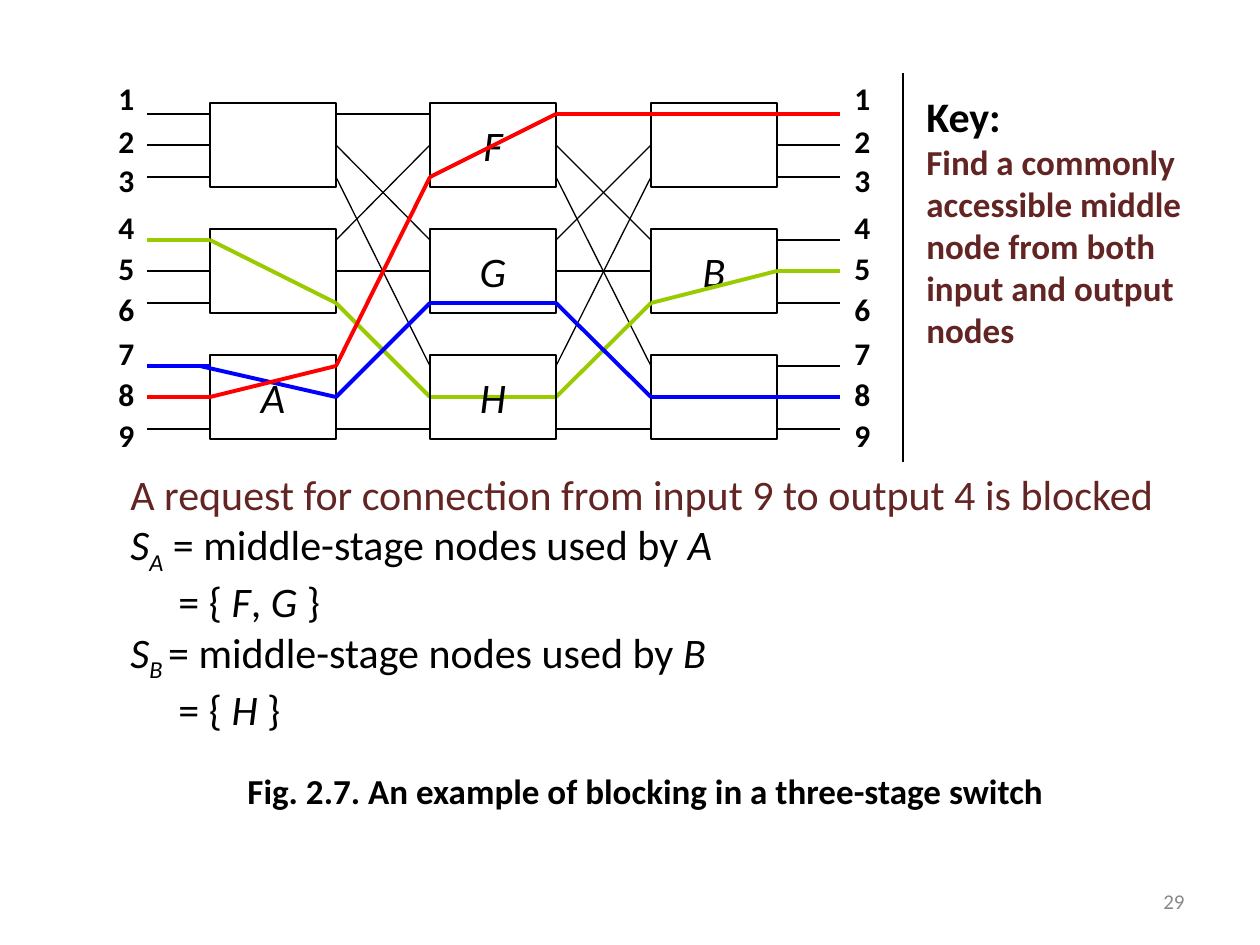
from dataclasses import dataclass

import pptx
import pptx.dml.color
import pptx.enum.shapes
import pptx.enum.text
import pptx.oxml.ns
import pptx.util
from lxml import etree

PX = 914400 / 126  # EMU in one px
FONT = "Calibri"
COLORS = {
    "black": "000000",
    "maroon": "632523",
    "gray": "898989",
    "green": "99CC00",
    "blue": "0000FF",
    "red": "FF0000",
}
ALIGN = pptx.enum.text.PP_ALIGN
ANCHOR = pptx.enum.text.MSO_ANCHOR

# Switch geometry: three stages of three nodes, nine ports on each side
STAGE_X = (210, 430, 651)
NODE_W, NODE_H = 126, 84
NODE_TOP, ROW_PITCH = 103, 126
PORT_DY = (11, 42, 74)
COLUMN_X = (147, *(x + dx for x in STAGE_X for dx in (0, NODE_W)), 840)
LABEL_TOPS = (73, 116, 155, 202, 243, 284, 328, 369, 410)
NODE_NAMES = {(0, 2): "A", (1, 0): "F", (1, 1): "G", (1, 2): "H", (2, 1): "B"}


@dataclass
class Run:
    text: str
    italic: bool = False
    sub: bool = False


@dataclass
class Para:
    runs: list[Run]
    size: int = 24
    color: str = "black"
    bold: bool = False
    indent: int = 0


@dataclass
class Route:
    color: str
    ports: tuple[int, ...]  # port passed at each column
    lead: int = 0  # px the first node segment starts early


ROUTES = [
    Route("green", (4, 4, 6, 8, 8, 6, 5, 5)),
    Route("blue", (7, 7, 8, 6, 6, 8, 8, 8), lead=10),
    Route("red", (8, 8, 7, 3, 1, 1, 1, 1)),
]


def px(n: float) -> int:
    return round(n * PX)


def rgb(name: str) -> pptx.dml.color.RGBColor:
    return pptx.dml.color.RGBColor.from_string(COLORS[name])


def write(sp, paras: list[Para], *, align=ALIGN.LEFT, anchor=ANCHOR.TOP,
          wrap: bool = False, spacing: float = 1.0) -> None:
    tf = sp.text_frame
    tf.word_wrap = wrap
    tf.vertical_anchor = anchor
    for i, para in enumerate(paras):
        p = tf.add_paragraph() if i else tf.paragraphs[0]
        p.alignment = align
        p.line_spacing = spacing
        if para.indent:
            p._p.get_or_add_pPr().set("marL", str(px(para.indent)))
        for run in para.runs:
            r = p.add_run()
            r.text = run.text
            r.font.name = FONT
            r.font.size = pptx.util.Pt(para.size)
            r.font.bold = para.bold
            r.font.italic = run.italic
            r.font.color.rgb = rgb(para.color)
            if run.sub:
                r.font._element.set("baseline", "-25000")


def add_text(s, x: int, y: int, w: int, h: int, paras: list[Para], **fmt):
    sp = s.shapes.add_textbox(px(x), px(y), px(w), px(h))
    write(sp, paras, **fmt)
    return sp


def add_line(s, x1: int, y1: int, x2: int, y2: int, color: str = "black", width: float = 0.75):
    ln = s.shapes.add_connector(
        pptx.enum.shapes.MSO_CONNECTOR.STRAIGHT, px(x1), px(y1), px(x2), px(y2))
    ln.line.color.rgb = rgb(color)
    ln.line.width = pptx.util.Pt(width)
    etree.SubElement(ln._element.spPr, pptx.oxml.ns.qn("a:effectLst"))
    return ln


def add_node(s, stage: int, row: int):
    sp = s.shapes.add_shape(
        pptx.enum.shapes.MSO_SHAPE.RECTANGLE, px(STAGE_X[stage]),
        px(NODE_TOP + row * ROW_PITCH), px(NODE_W), px(NODE_H))
    sp.shadow.inherit = False
    sp.fill.background()
    sp.line.color.rgb = rgb("black")
    sp.line.width = pptx.util.Pt(0.75)
    if (stage, row) in NODE_NAMES:
        write(sp, [Para([Run(NODE_NAMES[stage, row], italic=True)])],
              align=ALIGN.CENTER, anchor=ANCHOR.MIDDLE)
    return sp


def port_y(port: int) -> int:
    row, k = divmod(port - 1, 3)
    return NODE_TOP + row * ROW_PITCH + PORT_DY[k]


def far_port(col: int, port: int) -> int:
    """Port reached over the link that leaves a column."""
    if col in (0, 6):
        return port
    row, k = divmod(port - 1, 3)
    return 3 * k + row + 1


def add_wire(s, nodes: dict, col: int, start: int, end: int, lead: int = 0, **fmt) -> None:
    ln = add_line(s, COLUMN_X[col] - lead, port_y(start), COLUMN_X[col + 1], port_y(end), **fmt)
    for c, port, connect in ((col, start, ln.begin_connect), (col + 1, end, ln.end_connect)):
        if 1 <= c <= 6 and port % 3 == 2:  # middle port of a node
            connect(nodes[(c - 1) // 2, (port - 1) // 3], 1 if c % 2 else 3)


def main() -> None:
    prs = pptx.Presentation()
    prs.slide_width, prs.slide_height = px(1260), px(945)
    s = prs.slides.add_slide(prs.slide_layouts[6])

    # Caption and key
    add_text(s, 105, 746, 1081, 95,
             [Para([Run("Fig. 2.7. An example of blocking in a three-stage switch")], 20, bold=True)],
             align=ALIGN.CENTER, anchor=ANCHOR.MIDDLE, wrap=True, spacing=0.9)
    add_text(s, 914, 84, 305, 273, [
        Para([Run("Key:")], bold=True),
        Para([Run("Find a commonly accessible middle node from both input and output nodes")],
             20, "maroon", bold=True),
    ], wrap=True)

    # Nodes
    nodes = {(stage, row): add_node(s, stage, row) for stage in range(3) for row in range(3)}

    # Idle links, then the routed connections
    used = {(col, r.ports[col]) for r in ROUTES for col in (0, 2, 4, 6)}
    for col in (0, 2, 4, 6):
        for port in range(1, 10):
            if (col, port) not in used:
                add_wire(s, nodes, col, port, far_port(col, port))
    for route in ROUTES:
        for col, (start, end) in enumerate(zip(route.ports, route.ports[1:])):
            add_wire(s, nodes, col, start, end, lead=route.lead if col == 1 else 0,
                     color=route.color, width=2.25)

    # Port numbers
    for x in (106, 842):
        for number, top in enumerate(LABEL_TOPS, 1):
            add_text(s, x, top, 40, 50, [Para([Run(str(number))], 18, bold=True)])

    # Node H lies above the routes
    node_h = nodes[1, 2].element
    node_h.getparent().append(node_h)

    # Explanation
    add_text(s, 118, 462, 1052, 278, [
        Para([Run("A request for connection from input 9 to output 4 is blocked")], color="maroon"),
        Para([Run("S", True), Run("A", True, True),
              Run(" = middle-stage nodes used by "), Run("A", True)]),
        Para([Run("= { "), Run("F", True), Run(", "), Run("G", True), Run(" }")], indent=48),
        Para([Run("S", True), Run("B ", True, True),
              Run("= middle-stage nodes used by "), Run("B", True)]),
        Para([Run("= { "), Run("H", True), Run(" }")], indent=48),
    ])

    # Divider and page number
    add_line(s, 903, 73, 903, 462)
    add_text(s, 903, 876, 294, 50, [Para([Run("29")], 12, "gray")],
             align=ALIGN.RIGHT, anchor=ANCHOR.MIDDLE, wrap=True)

    prs.save("out.pptx")


if __name__ == "__main__":
    main()
